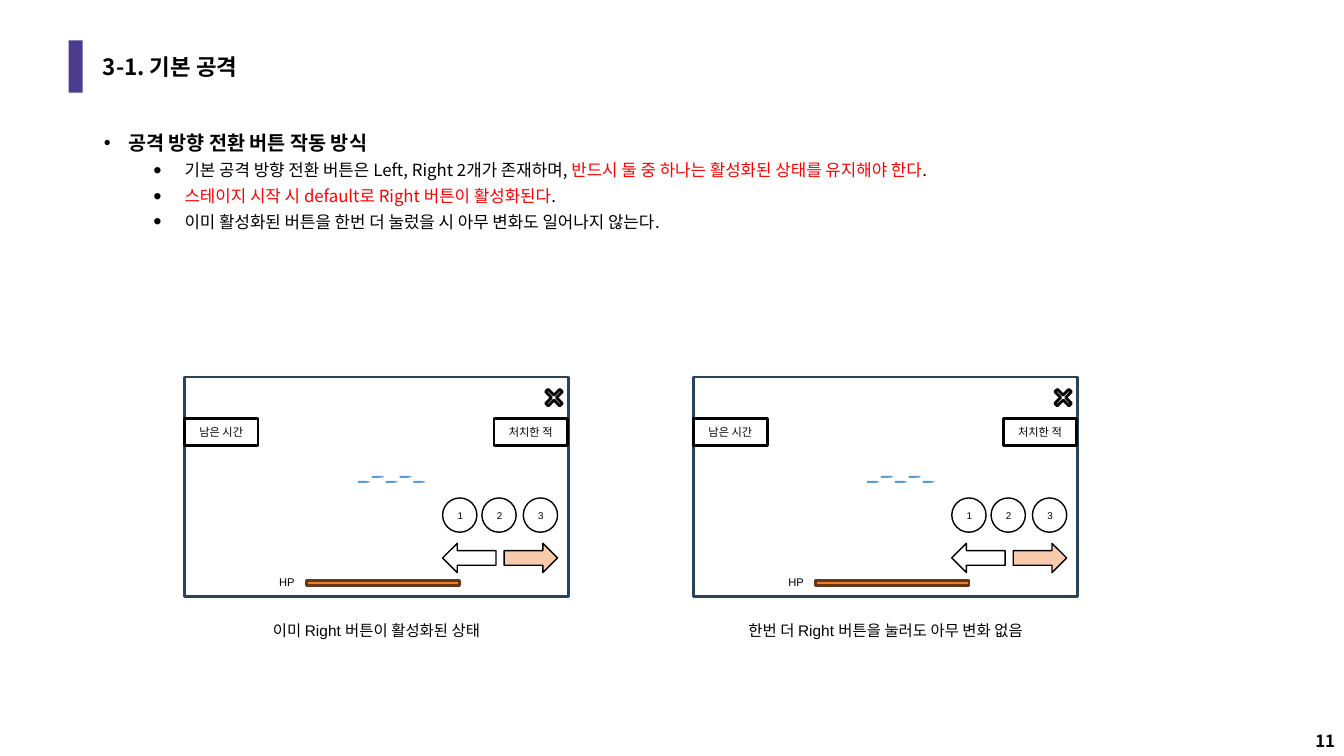
from dataclasses import dataclass
from typing import Optional

import pptx
import pptx.dml.color
import pptx.enum.shapes
import pptx.enum.text
import pptx.oxml.ns
import pptx.util
from lxml import etree

Inches = pptx.util.Inches
Pt = pptx.util.Pt
Shape = pptx.enum.shapes.MSO_SHAPE
Align = pptx.enum.text.PP_ALIGN
Anchor = pptx.enum.text.MSO_ANCHOR
AutoSize = pptx.enum.text.MSO_AUTO_SIZE
qn = pptx.oxml.ns.qn

KOREAN = "Noto Sans CJK KR"
LATIN = "Arial"
BLACK, WHITE, RED = "000000", "FFFFFF", "FF0000"
PURPLE, NAVY, BLUE = "4B3C8F", "28445D", "5B9BD5"
ORANGE, BROWN, PEACH = "ED7D31", "683715", "F8CBAD"


@dataclass
class Part:
    """One preset shape of the game screen."""
    kind: int
    at: tuple[float, float, float, float]
    fill: Optional[str] = WHITE
    line: Optional[str] = BLACK
    weight: float = 1
    text: str = ""
    size: float = 8
    flipped: bool = False


@dataclass
class Screen:
    shift: float
    caption: str
    caption_left: float
    caption_width: float


@dataclass
class Bullet:
    spans: list[tuple[str, str]]
    level: int = 1


def colour(value: str) -> pptx.dml.color.RGBColor:
    return pptx.dml.color.RGBColor.from_string(value)


def apply(target, formats: dict) -> None:
    for name, value in formats.items():
        setattr(target, name, value)


def place(shape, at: tuple[float, float, float, float]) -> None:
    apply(shape, dict(zip(("left", "top", "width", "height"), map(Inches, at))))


def add_span(para, text: str, size: float, font: str = LATIN,
             tint: str = BLACK, bold: bool = False):
    span = para.add_run()
    span.text = text
    apply(span.font, {"size": Pt(size), "name": font, "bold": bold})
    span.font.color.rgb = colour(tint)
    properties = span.font._element
    etree.SubElement(properties, qn("a:ea"), typeface=KOREAN)
    return span


def add_part(shapes, part: Part, shift: float = 0) -> None:
    left, top, width, height = part.at
    shape = shapes.add_shape(part.kind, *map(Inches, (left + shift, top, width, height)))
    shape.shadow.inherit = False
    if part.fill:
        shape.fill.solid()
        shape.fill.fore_color.rgb = colour(part.fill)
    else:
        shape.fill.background()
    if part.line:
        shape.line.color.rgb = colour(part.line)
        shape.line.width = Pt(part.weight)
    else:
        shape.line.fill.background()
    if part.kind == Shape.MATH_MULTIPLY:
        shape.adjustments[0] = 0.13
    if part.flipped:
        shape._element.spPr.xfrm.set("flipH", "1")
    if part.text:
        shape.text_frame.vertical_anchor = Anchor.MIDDLE
        para = shape.text_frame.paragraphs[0]
        para.alignment = Align.CENTER
        add_span(para, part.text, part.size)


def add_text(shapes, at: tuple[float, float, float, float], text: str, size: float,
             align: int = Align.LEFT, **span_formats):
    box = shapes.add_textbox(*map(Inches, at))
    box.text_frame.word_wrap = False
    para = box.text_frame.paragraphs[0]
    para.alignment = align
    add_span(para, text, size, **span_formats)
    return box


def add_bullet(para, bullet: Bullet) -> None:
    nested = bullet.level > 0
    para.level = bullet.level
    apply(para, {"line_spacing": 1.0 if nested else 1.3,
                 "space_before": Pt(4 if nested else 0)})
    margin, indent = (0.81, -0.31) if nested else (0.25, -0.24)
    properties = para._p.get_or_add_pPr()
    properties.set("marL", str(Inches(margin)))
    properties.set("indent", str(Inches(indent)))
    tint = etree.SubElement(properties, qn("a:buClr"))
    etree.SubElement(tint, qn("a:srgbClr"), val=BLACK)
    if nested:
        etree.SubElement(properties, qn("a:buSzPct"), val="140000")
    etree.SubElement(properties, qn("a:buFont"), typeface=LATIN)
    etree.SubElement(properties, qn("a:buChar"), char="•")
    for text, tint_value in bullet.spans:
        add_span(para, text, 12 if nested else 14, KOREAN, tint_value, not nested)


def add_screen(slide, screen: Screen) -> None:
    group = slide.shapes.add_group_shape()
    for part in SCREEN_PARTS:
        add_part(group.shapes, part, screen.shift)
    add_text(group.shapes, (2.67 + screen.shift, 5.66, 0.36, 0.24), "HP", 8)
    add_text(slide.shapes, (screen.caption_left, 6.11, screen.caption_width, 0.29),
             screen.caption, 11, Align.CENTER)


SKILL_BUTTONS = [Part(Shape.OVAL, (left, 4.94, 0.34, 0.34), text=str(number), size=7)
                 for number, left in enumerate((4.39, 4.78, 5.19), 1)]
DASHES = [Part(Shape.FLOWCHART_DELAY,
               (3.55 + 0.1375 * step, 4.72 if step % 2 else 4.77, 0.12, 0.02), BLUE, None)
          for step in range(5)]
SCREEN_PARTS = [
    *SKILL_BUTTONS,
    Part(Shape.RECTANGLE, (1.83, 3.74, 3.81, 2.18), None, NAVY, 2),
    Part(Shape.RECTANGLE, (3.04, 5.76, 1.52, 0.05), ORANGE, BROWN, 2),
    Part(Shape.RECTANGLE, (1.83, 4.15, 0.73, 0.27), weight=2, text="남은 시간"),
    Part(Shape.RECTANGLE, (4.9, 4.15, 0.73, 0.27), weight=2, text="처치한 적"),
    Part(Shape.MATH_MULTIPLY, (5.36, 3.81, 0.27, 0.27), weight=2),
    Part(Shape.RIGHT_ARROW, (5, 5.39, 0.53, 0.29), PEACH),
    Part(Shape.RIGHT_ARROW, (4.39, 5.39, 0.53, 0.29), flipped=True),
    *DASHES,
]
SCREENS = [
    Screen(0, "이미 Right 버튼이 활성화된 상태", 2.52, 2.43),
    Screen(5.05, "한번 더 Right 버튼을 눌러도 아무 변화 없음", 7.2, 3.17),
]
BULLETS = [
    Bullet([("공격 방향 전환 버튼 작동 방식", BLACK)], level=0),
    Bullet([("기본 공격 방향 전환 버튼은 Left, Right 2개가 존재하며, ", BLACK),
            ("반드시 둘 중 하나는 활성화된 상태를 유지해야 한다", RED), (".", BLACK)]),
    Bullet([("스테이지 시작 시 default로 Right 버튼이 활성화된다", RED), (".", BLACK)]),
    Bullet([("이미 활성화된 버튼을 한번 더 눌렀을 시 아무 변화도 일어나지 않는다.", BLACK)]),
]


def main() -> None:
    deck = pptx.Presentation()
    apply(deck, {"slide_width": Inches(13.33), "slide_height": Inches(7.5)})
    page = deck.slides.add_slide(deck.slide_layouts[1])

    # Title with its accent bar
    add_part(page.shapes, Part(Shape.RECTANGLE, (0.68, 0.4, 0.14, 0.52), PURPLE, None))
    title = page.shapes.title
    place(title, (0.92, 0.4, 11.5, 0.52))
    apply(title.text_frame, {"auto_size": AutoSize.NONE, "vertical_anchor": Anchor.MIDDLE})
    heading = title.text_frame.paragraphs[0]
    apply(heading, {"alignment": Align.LEFT, "line_spacing": 0.9})
    span = add_span(heading, "3-1. 기본 공격", 20, KOREAN, bold=True)
    span.font._element.set("cap", "small")

    # Rules of the direction buttons
    body = page.placeholders[1]
    place(body, (0.92, 1.18, 11.5, 2.4))
    frame = body.text_frame
    apply(frame, {"auto_size": AutoSize.NONE, "vertical_anchor": Anchor.TOP})
    for index, bullet in enumerate(BULLETS):
        add_bullet(frame.add_paragraph() if index else frame.paragraphs[0], bullet)

    # Game screens with captions
    for screen in SCREENS:
        add_screen(page, screen)

    # Page number
    number = add_text(page.shapes, (12.42, 7.1, 0.92, 0.4), "11", 12, Align.RIGHT,
                      font=KOREAN, bold=True)
    apply(number.text_frame, {"word_wrap": True, "vertical_anchor": Anchor.BOTTOM})

    deck.save("out.pptx")


if __name__ == "__main__":
    main()
